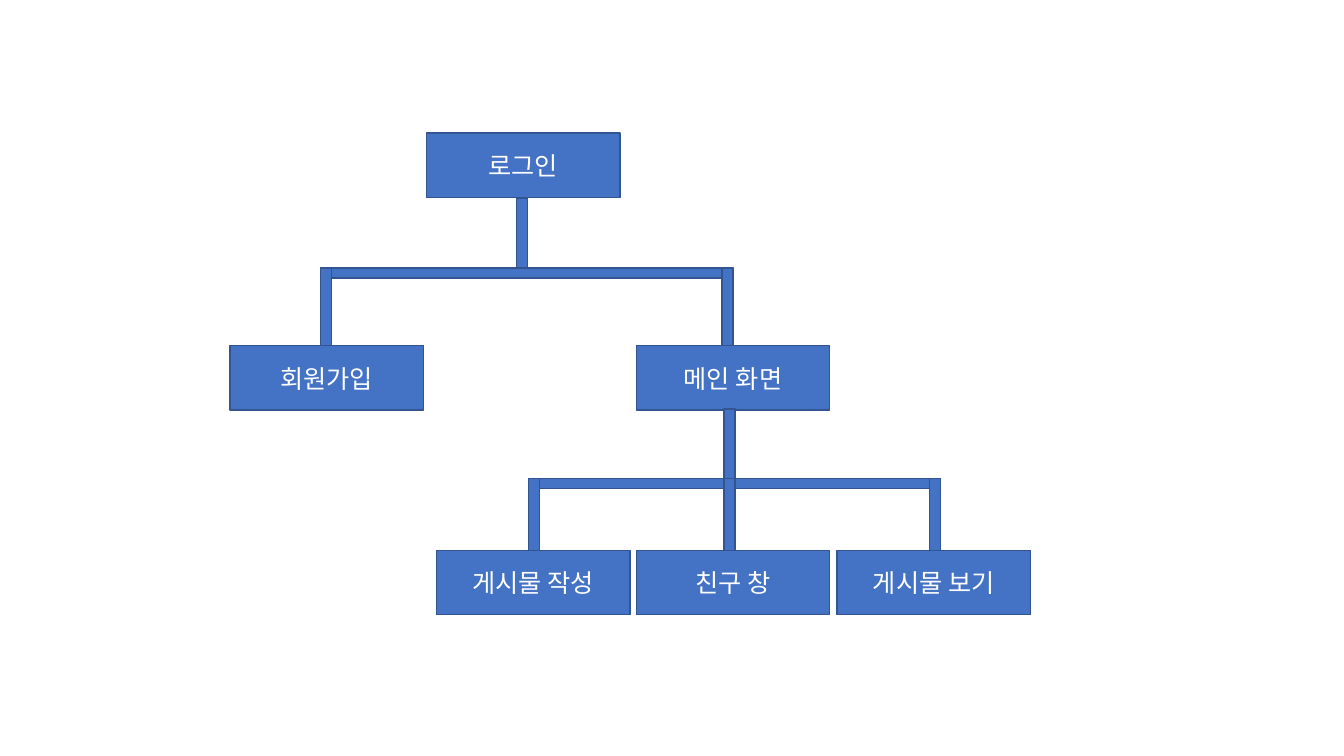
"""Build a slide showing the screen hierarchy of an app as a tree."""
from dataclasses import dataclass

from lxml import etree
from pptx import Presentation
from pptx.dml.color import RGBColor
from pptx.enum.shapes import MSO_SHAPE
from pptx.enum.text import MSO_ANCHOR, PP_ALIGN
from pptx.oxml.ns import qn
from pptx.shapes.autoshape import Shape
from pptx.slide import Slide
from pptx.util import Emu, Pt

RECTANGLE = MSO_SHAPE.RECTANGLE
MIDDLE = MSO_ANCHOR.MIDDLE
CENTER = PP_ALIGN.CENTER

EMU_PER_PX = 9144
PAGE_WIDTH, PAGE_HEIGHT = 1333, 750
BOX_WIDTH, BOX_HEIGHT = 192, 64
BAR_WIDTH, BAR_LENGTH = 11, 77
RAIL_WIDTH, RAIL_HEIGHT = 409, 10
RAIL_OFFSET = 69

FONT = "Noto Sans CJK KR"
FILL, BORDER, WHITE = "4472C4", "325491", "FFFFFF"


@dataclass(frozen=True)
class Screen:
    label: str
    left: int
    top: int


@dataclass(frozen=True)
class Branch:
    stem_left: int
    stem_top: int
    rail_left: int
    middle_drops: tuple[int, ...] = ()


TREE = (
    Screen("로그인", 423, 132),
    Branch(512, 197, 318),
    Screen("회원가입", 228, 343),
    Screen("메인 화면", 631, 343),
    Branch(718, 406, 524, (718,)),
    Screen("게시물 작성", 433, 546),
    Screen("친구 창", 631, 546),
    Screen("게시물 보기", 830, 546),
)


def px(length: int) -> Emu:
    return Emu(length * EMU_PER_PX)


def color(value: str) -> RGBColor:
    return RGBColor.from_string(value)


def add_rectangle(page: Slide, left: int, top: int, width: int, height: int) -> Shape:
    box = page.shapes.add_shape(RECTANGLE, px(left), px(top), px(width), px(height))
    box.shadow.inherit = False
    box.fill.solid()
    box.fill.fore_color.rgb = color(FILL)
    box.line.color.rgb = color(BORDER)
    box.line.width = Pt(1)
    return box


def draw_screen(page: Slide, screen: Screen) -> None:
    box = add_rectangle(page, screen.left, screen.top, BOX_WIDTH, BOX_HEIGHT)
    box.text_frame.vertical_anchor = MIDDLE
    para = box.text_frame.paragraphs[0]
    para.alignment = CENTER
    span = para.add_run()
    span.text = screen.label
    span.font.size = Pt(18)
    span.font.name = FONT
    span.font.color.rgb = color(WHITE)
    properties = span.font._element
    etree.SubElement(properties, qn("a:ea"), typeface=FONT)


def draw_branch(page: Slide, branch: Branch) -> None:
    rail_top = branch.stem_top + RAIL_OFFSET
    last_drop = branch.rail_left + RAIL_WIDTH - BAR_WIDTH
    add_rectangle(page, branch.stem_left, branch.stem_top, BAR_WIDTH, BAR_LENGTH)
    add_rectangle(page, branch.rail_left, rail_top, RAIL_WIDTH, RAIL_HEIGHT)
    for left in (branch.rail_left, last_drop, *branch.middle_drops):
        add_rectangle(page, left, rail_top, BAR_WIDTH, BAR_LENGTH)


def main() -> None:
    deck = Presentation()
    deck.slide_width, deck.slide_height = px(PAGE_WIDTH), px(PAGE_HEIGHT)
    page = deck.slides.add_slide(deck.slide_layouts[6])
    for part in TREE:
        if isinstance(part, Screen):
            draw_screen(page, part)
        else:
            draw_branch(page, part)
    deck.save("out.pptx")


if __name__ == "__main__":
    main()
